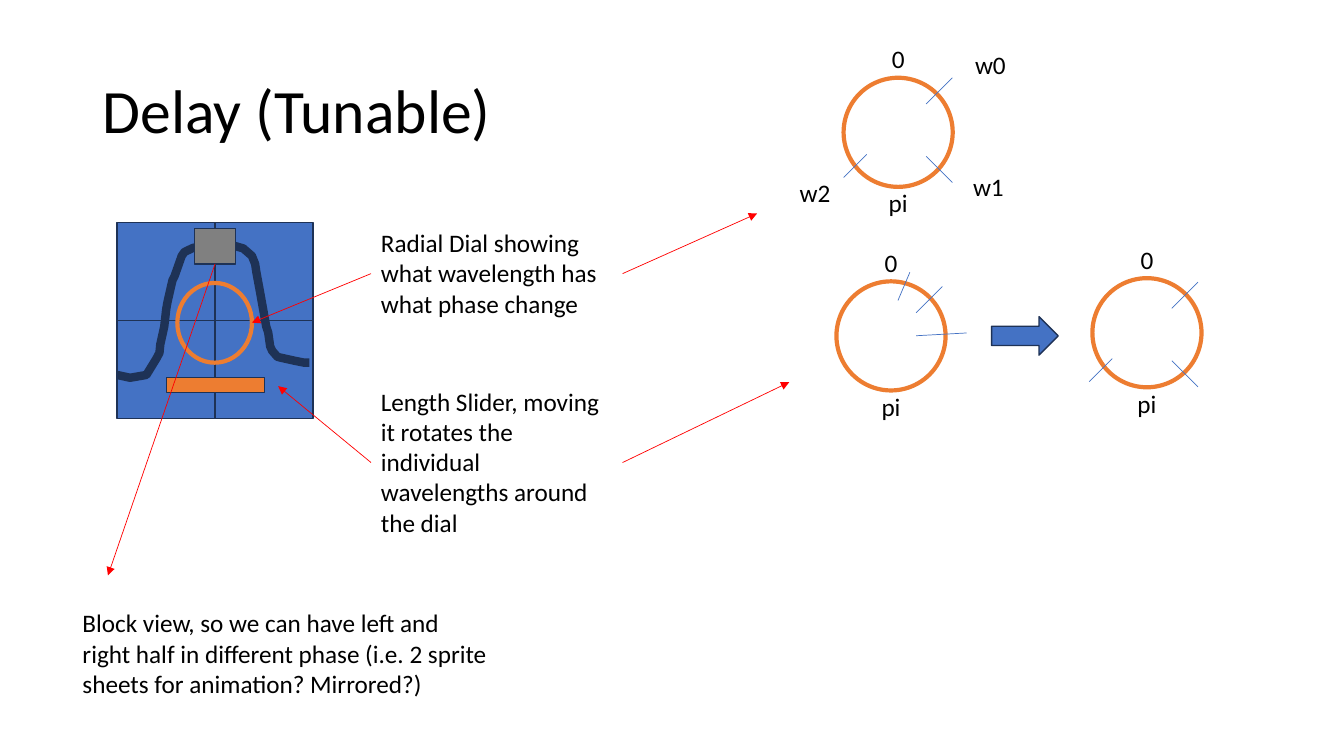
from lxml.etree import SubElement
from pptx import Presentation
from pptx.dml.color import RGBColor
from pptx.enum.shapes import MSO_CONNECTOR, MSO_SHAPE
from pptx.enum.text import MSO_ANCHOR, MSO_AUTO_SIZE, PP_ALIGN
from pptx.oxml.ns import qn
from pptx.util import Cm, Pt

HUES = {"blue": "4472C4", "navy": "1E3256", "orange": "ED7D31",
        "gray": "808080", "red": "FF0000", "black": "000000"}
FONT = "Calibri"
CELL = 2.47
RING = 2.75
WIRE = [(0, 3.84), (0.33, 3.91), (0.74, 3.84), (0.99, 3.43), (1.07, 3.28),
        (1.09, 3.07), (1.19, 2.62), (1.24, 2.18), (1.27, 2.01), (1.37, 1.57),
        (1.4, 1.45), (1.45, 1.35), (1.63, 0.84), (1.7, 0.74), (1.91, 0.64),
        (2.39, 0.53), (2.87, 0.56), (3.18, 0.65), (3.4, 0.84), (3.48, 1.04),
        (3.51, 1.24), (3.61, 1.78), (3.76, 2.62), (3.81, 2.77), (3.86, 3.12),
        (3.91, 3.23), (4.04, 3.38), (4.11, 3.4), (4.47, 3.48), (4.72, 3.53),
        (4.85, 3.53)]
SPREAD = [(2.74, 0, 2.08, 0.66), (2.08, 1.98, 2.74, 2.64), (0.58, 1.93, 0, 2.51)]
BUNCH = [(2.67, 0.13, 2.01, 0.79), (1.85, -0.23, 1.55, 0.48), (2.01, 1.37, 3.28, 1.3)]
WAVES = [("w0", 3.05, -0.84), ("w1", 3, 2.24), ("w2", -1.37, 2.39)]


def tone(name):
    return RGBColor.from_string(HUES[name])


def paint(shape, fill, line, width):
    shape.shadow.inherit = False
    if fill:
        shape.fill.solid()
        shape.fill.fore_color.rgb = tone(fill)
    else:
        shape.fill.background()
    shape.line.color.rgb = tone(line)
    shape.line.width = Pt(width)
    return shape


def draw(slide, kind, box, fill, line="navy", width=1):
    shape = slide.shapes.add_shape(kind, *map(Cm, box))
    return paint(shape, fill, line, width)


def link(slide, ends, hue, head=False):
    line = slide.shapes.add_connector(MSO_CONNECTOR.STRAIGHT, *map(Cm, ends))
    line.line.color.rgb = tone(hue)
    line.line.width = Pt(0.5)
    if head:
        SubElement(line.line._get_or_add_ln(), qn("a:tailEnd"), type="triangle")
    SubElement(line._element.spPr, qn("a:effectLst"))
    return line


def style(frame, size):
    for run in frame.paragraphs[0].runs:
        run.font.size = Pt(size)
        run.font.name = FONT
        run.font.color.rgb = tone("black")


def note(slide, text, box, wrap=True):
    shape = slide.shapes.add_textbox(*map(Cm, box))
    frame = shape.text_frame
    frame.text = text
    frame.word_wrap = wrap
    frame.paragraphs[0].alignment = PP_ALIGN.LEFT if wrap else PP_ALIGN.CENTER
    style(frame, 18)
    return shape


def label(slide, text, left, top, width):
    note(slide, text, (left, top, width, 1.02), False)


def title(slide, text, box):
    shape = slide.shapes.title
    shape.left, shape.top, shape.width, shape.height = map(Cm, box)
    frame = shape.text_frame
    frame.text = text
    frame.auto_size = MSO_AUTO_SIZE.NONE
    frame.vertical_anchor = MSO_ANCHOR.MIDDLE
    frame.paragraphs[0].alignment = PP_ALIGN.LEFT
    frame.paragraphs[0].line_spacing = 0.9
    style(frame, 44)


def block(slide, left, top):
    for row in range(2):
        for col in range(2):
            cell = (left + col * CELL, top + row * CELL, CELL, CELL)
            draw(slide, MSO_SHAPE.RECTANGLE, cell, "blue")
    path = [(Cm(left + x), Cm(top + y)) for x, y in WIRE]
    pen = slide.shapes.build_freeform(*path[0])
    pen.add_line_segments(path[1:], close=False)
    paint(pen.convert_to_shape(), None, "navy", 6)
    draw(slide, MSO_SHAPE.RECTANGLE, (left + 1.24, top + 3.91, CELL, 0.38), "orange")
    draw(slide, MSO_SHAPE.OVAL, (left + 1.52, top + 1.52, 1.88, 2.01), None, "orange", 3)
    return draw(slide, MSO_SHAPE.RECTANGLE, (left + 1.96, top + 0.15, 1.02, 0.89), "gray")


def dial(slide, left, top, ticks, dx=0, dy=0):
    draw(slide, MSO_SHAPE.OVAL, (left, top, RING, RING), None, "orange", 3)
    for x1, y1, x2, y2 in ticks:
        ends = (left + dx + x1, top + dy + y1, left + dx + x2, top + dy + y2)
        link(slide, ends, "blue")
    for text, drop, width in (("0", -0.99, 0.84), ("pi", 2.64, 0.99)):
        label(slide, text, left + (RING - width) / 2, top + drop, width)


def waves(slide, left, top):
    for text, x, y in WAVES:
        label(slide, text, left + x, top + y, 1.3)


def remark(slide, text, box, goals):
    shape = note(slide, text, box)
    left, top, width, height = box
    sides = ((1, left), (3, left + width))
    for (side, edge), goal in zip(sides, goals):
        arrow = link(slide, (edge, top + height / 2, *goal), "red", True)
        arrow.begin_connect(shape, side)


def main():
    deck = Presentation()
    deck.slide_width, deck.slide_height = Cm(33.87), Cm(19.05)
    slide = deck.slides.add_slide(deck.slide_layouts[5])
    title(slide, "Delay (Tunable)", (2.34, 1.02, 29.21, 3.68))
    chip = block(slide, 2.95, 5.61)
    remark(slide, "Length Slider, moving it rotates the individual wavelengths around the dial",
           (9.35, 9.6, 6.34, 4.11), ((7.01, 9.73), (19.89, 9.63)))
    remark(slide, "Radial Dial showing what wavelength has what phase change",
           (9.35, 5.61, 6.34, 2.57), ((6.35, 8.13), (19.08, 5.38)))
    dial(slide, 21.26, 1.96, SPREAD)
    waves(slide, 21.26, 1.96)
    dial(slide, 21.08, 7.09, BUNCH)
    draw(slide, MSO_SHAPE.RIGHT_ARROW, (24.99, 7.98, 1.68, 0.97), "blue")
    dial(slide, 27.53, 7.01, SPREAD, -0.08, 0.1)
    link(slide, (5.42, 6.65, 2.72, 14.5), "red", True).begin_connect(chip, 2)
    note(slide, "Block view, so we can have left and right half in different phase "
         "(i.e. 2 sprite sheets for animation? Mirrored?)", (1.83, 15.19, 10.69, 3.33))
    deck.save("out.pptx")


if __name__ == "__main__":
    main()
